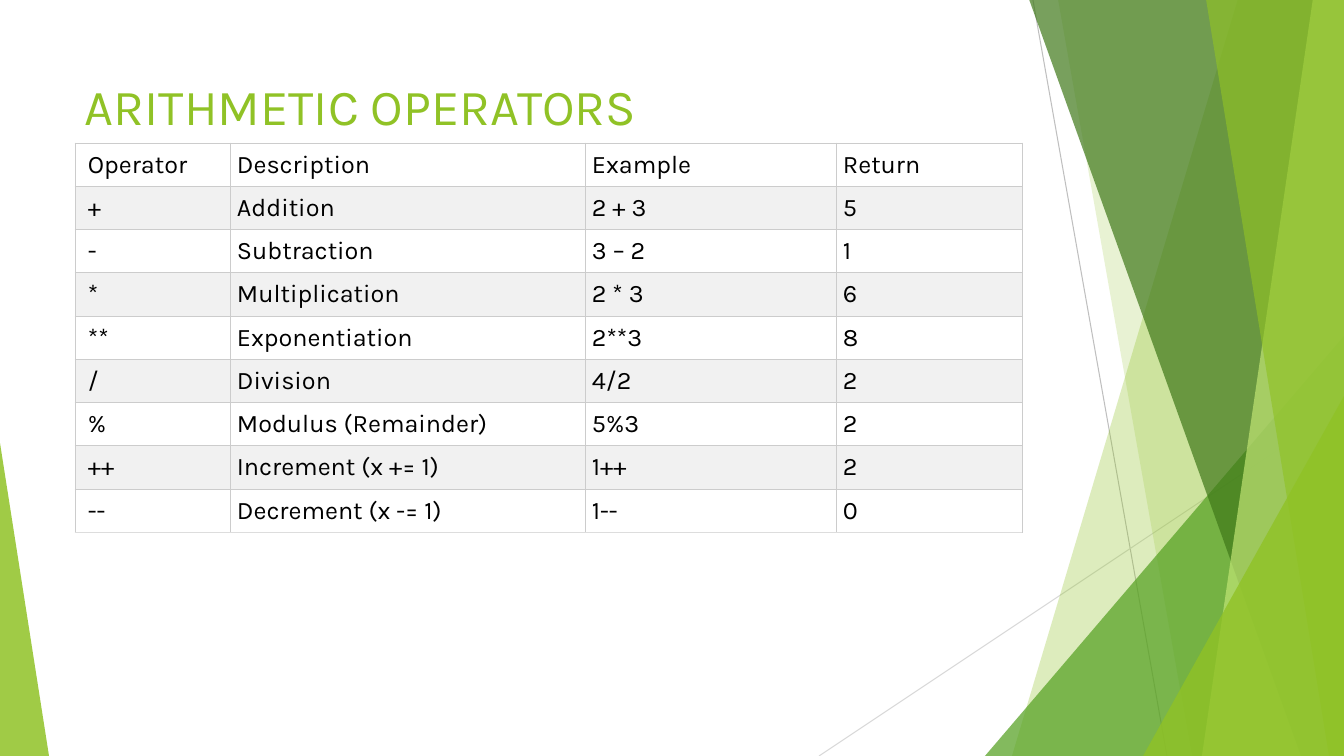
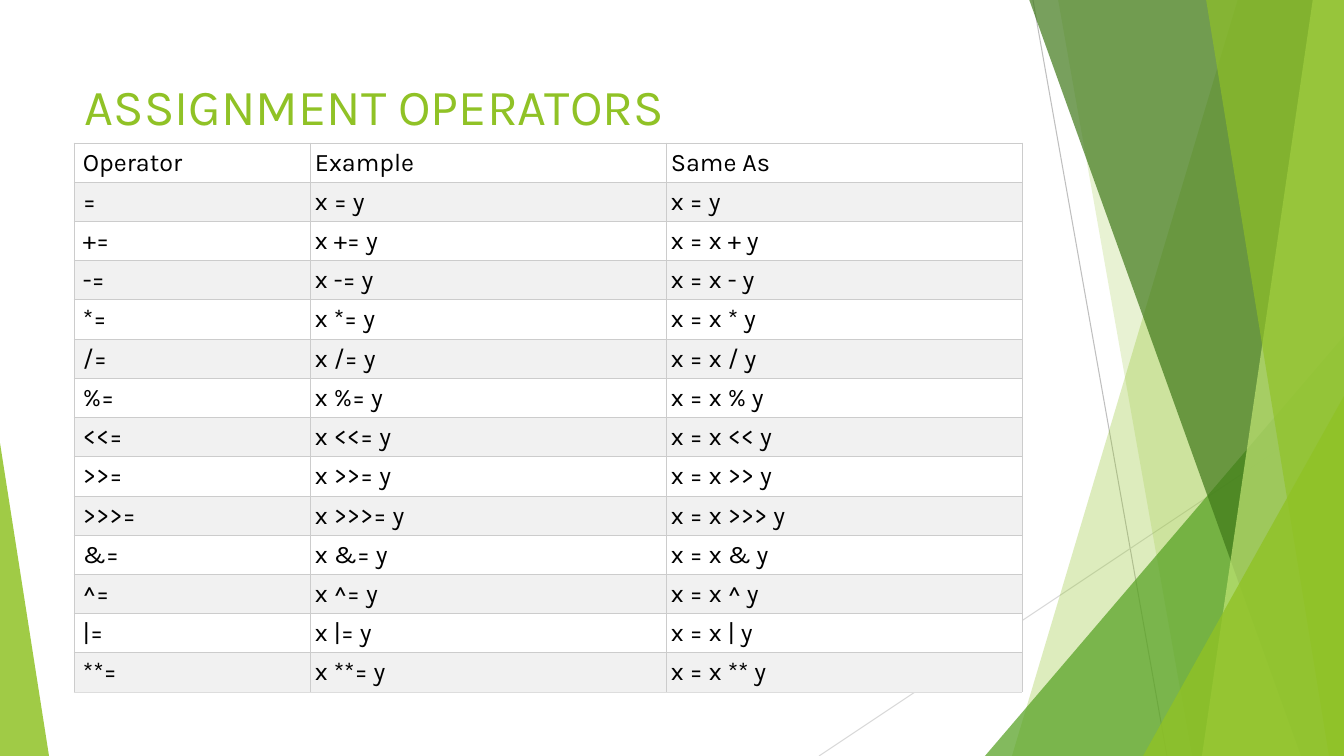
"""Build two slides of operator tables over a green faceted backdrop."""
import lxml.etree
import pptx
import pptx.dml.color
import pptx.enum.shapes
import pptx.enum.text
import pptx.oxml.ns
import pptx.util

WIDTH, HEIGHT = 1344, 756
SCALE = 12192000 / WIDTH
TABLE_TOP = 143
qn = pptx.oxml.ns.qn

COLORS = {
    "lime": "90C226", "leaf": "54A021", "forest": "3F7819", "pale": "C0E474",
    "rule": "BFBFBF", "faint rule": "D9D9D9", "text": "000000",
    "row": "FFFFFF", "banded row": "F1F1F1", "border": "CCCCCC", "last border": "DDDDDD",
}
RULES = [(1033, 0, 1167, HEIGHT, "rule"), (WIDTH, 406, 819, HEIGHT, "faint rule")]
FACETS = [
    ("band", (1238, 1012), "lime", 30),
    ("band", (1058, 1192), "lime", 20),
    ("triangle", (985, 336, 359, 1), "leaf", 72),
    ("band", (1029, 1301), "forest", 70),
    ("band", (1313, 1202), "pale", 70),
    ("band", (1206, 1329), "lime", 65),
    ("triangle", (1143, 396, 201, 1), "lime", 80),
    ("triangle", (0, 443, 49, 0), "lime", 85),
]
TITLE_FONT = {"name": "Karla", "size": pptx.util.Pt(36)}
CELL_FONT = {"name": "Karla", "size": pptx.util.Pt(18)}
TITLE_FRAME = {"word_wrap": True, "vertical_anchor": pptx.enum.text.MSO_ANCHOR.MIDDLE}

ASSIGNMENTS = ["+", "-", "*", "/", "%", "<<", ">>", ">>>", "&", "^", "|", "**"]
SLIDES = [
    {
        "title": "ARITHMETIC OPERATORS",
        "left": 75, "columns": [155, 355, 251, 186], "row": 43, "indent": 13, "pad": 7,
        "rows": [
            ("Operator", "Description", "Example", "Return"),
            ("+", "Addition", "2 + 3", "5"),
            ("-", "Subtraction", "3 – 2", "1"),
            ("*", "Multiplication", "2 * 3", "6"),
            ("**", "Exponentiation", "2**3", "8"),
            ("/", "Division", "4/2", "2"),
            ("%", "Modulus (Remainder)", "5%3", "2"),
            ("++", "Increment (x += 1)", "1++", "2"),
            ("--", "Decrement (x -= 1)", "1--", "0"),
        ],
    },
    {
        "title": "ASSIGNMENT OPERATORS",
        "left": 74, "columns": [236, 356, 356], "row": 39, "indent": 9, "pad": 5,
        "rows": [("Operator", "Example", "Same As"), ("=", "x = y", "x = y")]
        + [(f"{sign}=", f"x {sign}= y", f"x = x {sign} y") for sign in ASSIGNMENTS],
    },
]


def px(length):
    return pptx.util.Emu(round(length * SCALE))


def write(frame, text, font, color):
    run = frame.paragraphs[0].add_run()
    run.text = text
    for key, value in font.items():
        setattr(run.font, key, value)
    run.font.color.rgb = pptx.dml.color.RGBColor.from_string(COLORS[color])


deck = pptx.Presentation()
deck.slide_width, deck.slide_height = px(WIDTH), px(HEIGHT)

for content in SLIDES:
    slide = deck.slides.add_slide(deck.slide_layouts[6])

    for x1, y1, x2, y2, color in RULES:
        rule = slide.shapes.add_connector(
            pptx.enum.shapes.MSO_CONNECTOR.STRAIGHT, px(x1), px(y1), px(x2), px(y2))
        rule.line.width = pptx.util.Pt(0.75)
        rule.line.color.rgb = pptx.dml.color.RGBColor.from_string(COLORS[color])
        lxml.etree.SubElement(rule.element.spPr, qn("a:effectLst"))

    for kind, place, color, opacity in FACETS:
        if kind == "band":
            top_x, bottom_x = place
            outline = slide.shapes.build_freeform(top_x, -1, scale=SCALE)
            outline.add_line_segments([(WIDTH, -1), (WIDTH, HEIGHT), (bottom_x, HEIGHT)])
            facet = outline.convert_to_shape()
        else:
            left, top, width, apex = place
            facet = slide.shapes.add_shape(
                pptx.enum.shapes.MSO_SHAPE.ISOSCELES_TRIANGLE,
                px(left), px(top), px(width), px(HEIGHT - top))
            facet.adjustments[0] = apex
        facet.shadow.inherit = False
        facet.line.fill.background()
        facet.fill.solid()
        facet.fill.fore_color.rgb = pptx.dml.color.RGBColor.from_string(COLORS[color])
        tint = facet.element.spPr.find(qn("a:solidFill")).find(qn("a:srgbClr"))
        lxml.etree.SubElement(tint, qn("a:alpha"), val=str(opacity * 1000))

    title = slide.shapes.add_textbox(px(75), px(67), px(947), px(77)).text_frame
    for key, value in TITLE_FRAME.items():
        setattr(title, key, value)
    write(title, content["title"], TITLE_FONT, "lime")

    rows, columns, pad = content["rows"], content["columns"], content["pad"]
    operators = slide.shapes.add_table(
        len(rows), len(columns), px(content["left"]), px(TABLE_TOP),
        px(sum(columns)), px(content["row"] * len(rows))).table
    operators.first_row = operators.horz_banding = False
    for column, width in zip(operators.columns, columns):
        column.width = px(width)

    for r, texts in enumerate(rows):
        operators.rows[r].height = px(content["row"])
        for c, text in enumerate(texts):
            cell = operators.cell(r, c)
            margins = {
                "margin_left": content["indent"] if c == 0 else pad,
                "margin_top": pad, "margin_right": pad, "margin_bottom": pad - 1,
            }
            for key, value in margins.items():
                setattr(cell, key, px(value))
            write(cell.text_frame, text, CELL_FONT, "text")
            cell.fill.solid()
            cell.fill.fore_color.rgb = pptx.dml.color.RGBColor.from_string(
                COLORS["banded row" if r % 2 else "row"])
            properties = cell._tc.get_or_add_tcPr()
            for position, side in enumerate("LRTB"):
                last = side == "B" and r == len(rows) - 1
                border = lxml.etree.Element(qn(f"a:ln{side}"), w=str(pptx.util.Pt(0.6)))
                fill = lxml.etree.SubElement(border, qn("a:solidFill"))
                lxml.etree.SubElement(
                    fill, qn("a:srgbClr"), val=COLORS["last border" if last else "border"])
                properties.insert(position, border)

deck.save("out.pptx")
